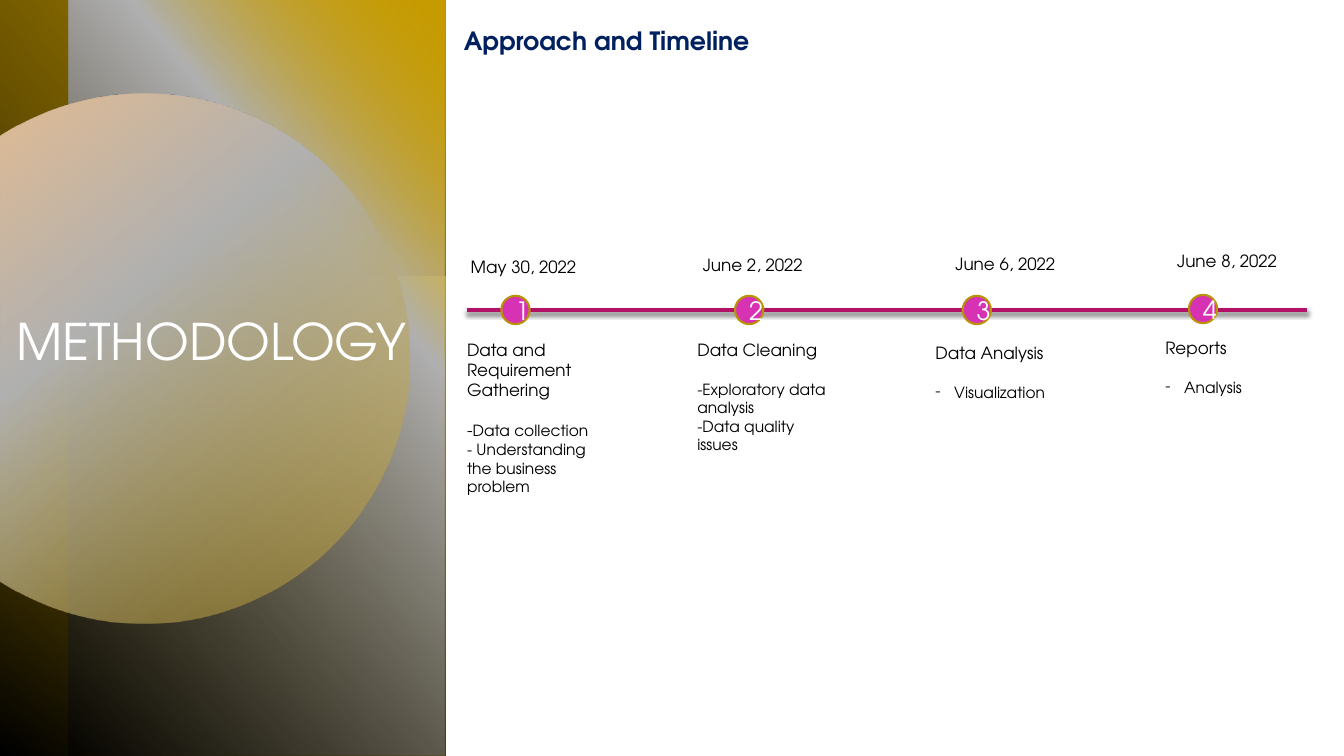
from dataclasses import dataclass
from itertools import pairwise
from math import acos, cos, degrees, radians, sin, tan

from lxml.etree import SubElement
from pptx import Presentation
from pptx.dml.color import RGBColor
from pptx.enum.shapes import MSO_CONNECTOR, MSO_SHAPE
from pptx.enum.text import MSO_ANCHOR, MSO_AUTO_SIZE, PP_ALIGN
from pptx.oxml.ns import qn
from pptx.oxml.xmlchemy import OxmlElement
from pptx.util import Pt


@dataclass(frozen=True)
class Theme:
    font: str = "TeX Gyre Adventor"
    white: str = "FFFFFF"
    ink: str = "000000"
    navy: str = "002060"
    line: str = "B31166"
    marker: str = "D632B3"
    rim: str = "BA9305"
    title: int = 36
    heading: int = 18
    label: int = 12
    detail: int = 11


T = Theme()

TITLE = "METHODOLOGY"
HEADING = "Approach and Timeline"
STEPS = [
    dict(date="May 30, 2022", date_at=(329.2, 180), marker_at=(358.1, 211.3),
         name="Data and Requirement Gathering", text_at=(326.5, 239), width=108.7,
         items=[[("-", T.label), ("Data collection", T.detail)],
                [("- Understanding the business problem", T.detail)]], bullets=False),
    dict(date="June 2, 2022", date_at=(495, 178.2), marker_at=(525, 211.3),
         name="Data Cleaning", text_at=(491, 239), width=108.7,
         items=[[("-Exploratory data analysis", T.detail)],
                [("-Data quality issues", T.detail)]], bullets=False),
    dict(date="June 6, 2022", date_at=(675.4, 178), marker_at=(687.6, 211.3),
         name="Data Analysis", text_at=(661, 241.2), width=108.7,
         items=[[("Visualization", T.detail)]], bullets=True),
    dict(date="June 8, 2022", date_at=(833.8, 175.7), marker_at=(849.2, 210.6),
         name="Reports", text_at=(825.3, 237.4), width=128.2,
         items=[[("Analysis", T.detail)]], bullets=True),
]
PANELS = [
    dict(box=(0, 0, 318.2, 541), turn=90, flip=True, angle=310,
         stops=[(0, "000000", 100), (100, "C59A00", 100)]),
    dict(box=(0, 197.3, 318.2, 342.7), turn=270, flip=False, angle=190,
         stops=[(0, "FFCA08", 50), (100, "836700", 0)]),
    dict(box=(49, 0, 268.6, 540), turn=270, flip=True, angle=130,
         stops=[(0, "000000", 59), (69, "B0B0B0", 100), (100, "FFCA08", 0)]),
]
DISC = dict(center=(130.5, 290.3), edge=103, radius=189.3, turn=101.6, angle=310,
            stops=[(0, "F2BF89", 100), (39, "B0B0B0", 100), (100, "C59A00", 26)])
MARKER = 20.2
LINE_Y = 221.4


def rgb(value):
    return RGBColor.from_string(value)


def add_color(parent, color, alpha=100):
    clr = SubElement(parent, qn("a:srgbClr"), val=color)
    if alpha < 100:
        SubElement(clr, qn("a:alpha"), val=str(alpha * 1000))


def fill_gradient(sp, stops, angle):
    sp.shadow.inherit = False
    sp.line.fill.background()
    sp.fill.background()
    grad = OxmlElement("a:gradFill")
    grad.set("rotWithShape", "1")
    stop_list = SubElement(grad, qn("a:gsLst"))
    for pos, color, alpha in stops:
        add_color(SubElement(stop_list, qn("a:gs"), pos=str(pos * 1000)), color, alpha)
    SubElement(grad, qn("a:lin"), ang=str(angle * 60000), scaled="0")
    props = sp._element.spPr
    props.replace(props.find(qn("a:noFill")), grad)


def add_backdrop(s):
    sp = s.shapes.add_shape(MSO_SHAPE.RECTANGLE, 0, 0, Pt(960), Pt(540))
    sp.shadow.inherit = False
    sp.fill.solid()
    sp.fill.fore_color.rgb = rgb(T.white)
    sp.line.fill.background()


def add_panel(s, box, turn, flip, angle, stops):
    x, y, w, h = box
    sp = s.shapes.add_shape(MSO_SHAPE.RECTANGLE, Pt(x + (w - h) / 2), Pt(y + (h - w) / 2), Pt(h), Pt(w))
    sp.rotation = turn
    if flip:
        sp._element.spPr.xfrm.set("flipH", "1")
    fill_gradient(sp, stops, angle)


def add_disc(s, center, edge, radius, turn, angle, stops):
    cx, cy = center
    reach = degrees(acos(-edge / radius))
    angles = [radians(a - turn) for a in (-reach, turn - 180, turn - 90, turn, reach)]
    anchors = [(Pt(cx + radius * cos(a)), Pt(cy + radius * sin(a))) for a in angles]
    fb = s.shapes.build_freeform(*anchors[0])
    fb.add_line_segments(anchors[1:], close=True)
    sp = fb.convert_to_shape()
    left, top = sp.left, sp.top
    sides = list(sp._element.iter(qn("a:lnTo")))
    for side, (a, b), (start, end) in zip(sides, pairwise(angles), pairwise(anchors)):
        pull = Pt(radius * 4 / 3 * tan((b - a) / 4))
        curve = OxmlElement("a:cubicBezTo")
        for x, y in ((start[0] - pull * sin(a), start[1] + pull * cos(a)),
                     (end[0] + pull * sin(b), end[1] - pull * cos(b)), end):
            SubElement(curve, qn("a:pt"), x=str(round(x - left)), y=str(round(y - top)))
        side.getparent().replace(side, curve)
    sp.rotation = turn
    fill_gradient(sp, stops, angle)


def style(p, size, color, bold=False):
    for r in p.runs:
        r.font.name = T.font
        r.font.size = Pt(size)
        r.font.bold = bold
        r.font.color.rgb = rgb(color)


def add_text(s, x, y, w, h, text, size, color, bold=False):
    tf = s.shapes.add_textbox(Pt(x), Pt(y), Pt(w), Pt(h)).text_frame
    tf.word_wrap = True
    tf.text = text
    style(tf.paragraphs[0], size, color, bold)
    return tf


def add_dash(p):
    props = p._p.get_or_add_pPr()
    props.set("marL", str(Pt(13.5)))
    props.set("indent", str(-Pt(13.5)))
    add_color(SubElement(props, qn("a:buClr")), T.ink)
    SubElement(props, qn("a:buFont"), typeface=T.font)
    SubElement(props, qn("a:buChar"), char="-")


def add_title(s):
    title = s.shapes.title
    s.shapes._spTree.append(title._element)
    title.left, title.top, title.width, title.height = Pt(4.3), Pt(218.2), Pt(314), Pt(242)
    tf = title.text_frame
    tf.text = TITLE
    tf.word_wrap = True
    tf.auto_size = MSO_AUTO_SIZE.NONE
    tf.vertical_anchor = MSO_ANCHOR.TOP
    tf.paragraphs[0].alignment = PP_ALIGN.LEFT
    style(tf.paragraphs[0], T.title, T.white)


def add_timeline(s):
    line = s.shapes.add_connector(MSO_CONNECTOR.STRAIGHT, Pt(333.4), Pt(LINE_Y), Pt(933.8), Pt(LINE_Y))
    line.line.color.rgb = rgb(T.line)
    line.line.width = Pt(3)
    effects = SubElement(line._element.spPr, qn("a:effectLst"))
    shadow = SubElement(effects, qn("a:outerShdw"), blurRad=str(Pt(3)), dist=str(Pt(2)),
                        dir="5400000", rotWithShape="0")
    add_color(shadow, T.ink, 45)


def add_marker(s, number, at):
    x, y = at
    sp = s.shapes.add_shape(MSO_SHAPE.OVAL, Pt(x), Pt(y), Pt(MARKER), Pt(MARKER))
    sp.shadow.inherit = False
    sp.fill.solid()
    sp.fill.fore_color.rgb = rgb(T.marker)
    sp.line.color.rgb = rgb(T.rim)
    sp.line.width = Pt(1.5)
    tf = sp.text_frame
    tf.text = str(number)
    tf.vertical_anchor = MSO_ANCHOR.MIDDLE
    tf.paragraphs[0].alignment = PP_ALIGN.CENTER
    style(tf.paragraphs[0], T.heading, T.white)


def add_step(s, step):
    add_text(s, *step["date_at"], 105, 21.8, step["date"], T.label, T.ink)
    tf = add_text(s, *step["text_at"], step["width"], 90, step["name"], T.label, T.ink)
    for i, item in enumerate(step["items"]):
        p = tf.add_paragraph()
        p.space_before = Pt(0 if i else 14.4)
        if step["bullets"]:
            add_dash(p)
        for text, size in item:
            p.add_run().text = text
        style(p, T.detail, T.ink)
        for r, (text, size) in zip(p.runs, item):
            r.font.size = Pt(size)


prs = Presentation()
prs.slide_width, prs.slide_height = Pt(960), Pt(540)
s = prs.slides.add_slide(prs.slide_layouts[5])
add_backdrop(s)
for panel in PANELS:
    add_panel(s, **panel)
add_disc(s, **DISC)
add_title(s)
add_timeline(s)
for number, step in enumerate(STEPS, 1):
    add_marker(s, number, step["marker_at"])
add_text(s, 324.2, 14.4, 222, 29, HEADING, T.heading, T.navy, bold=True)
for step in STEPS:
    add_step(s, step)
prs.save("out.pptx")
